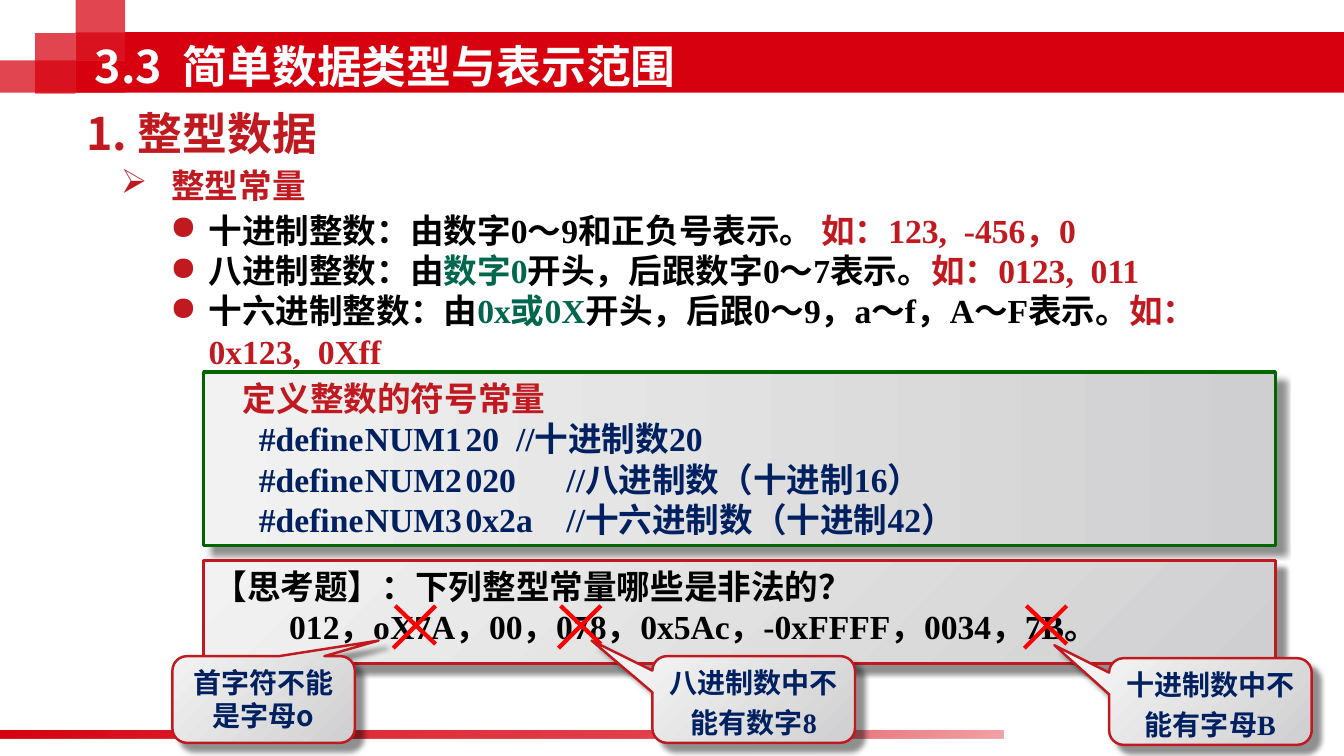
import pptx
import pptx.dml.color
import pptx.enum.shapes
import pptx.enum.text
import pptx.util
from lxml import etree
from pptx.oxml.ns import qn

Inches, Pt = pptx.util.Inches, pptx.util.Pt
Shape = pptx.enum.shapes.MSO_SHAPE
Align = pptx.enum.text.PP_ALIGN
Anchor = pptx.enum.text.MSO_ANCHOR
SANS, SERIF = "Noto Sans CJK SC", "Times New Roman"
BAND, RED, GREEN, NAVY, BLACK = "D7000F", "C01920", "00664D", "002060", "000000"


def color(value):
    return pptx.dml.color.RGBColor.from_string(value)


def write(box, lines, size, font=SERIF, align=Align.LEFT, anchor=Anchor.MIDDLE, pitch=1.2):
    """Fill a box with bold lines, each a list of (text, colour) spans."""
    frame = box.text_frame
    frame.word_wrap = True
    frame.vertical_anchor = anchor
    for number, line in enumerate(lines):
        para = frame.paragraphs[0] if number == 0 else frame.add_paragraph()
        para.alignment = align
        para.line_spacing = Pt(round(size * pitch, 1))
        for text, ink in line:
            span = para.add_run()
            span.text = text
            span.font.size = Pt(size)
            span.font.bold = True
            span.font.color.rgb = color(ink)
            span.font.name = font
            etree.SubElement(span.font._element, qn("a:ea"), typeface=SANS)


deck = pptx.Presentation()
deck.slide_width, deck.slide_height = Inches(13.33), Inches(7.5)
page = deck.slides.add_slide(deck.slide_layouts[5])

# Header band, overlapping squares and footer bar
for left, top, width, height, opacity in [
    (0, 0.6, 1.24, 0.32, 73),
    (0.35, 0.33, 0.4, 0.6, 73),
    (0.75, 0, 0.49, 0.6, 73),
    (0.75, 0.32, 0.49, 0.28, 73),
    (0.75, 0.6, 0.49, 0.32, 100),
    (1.24, 0.32, 12.09, 0.6, 100),
]:
    block = page.shapes.add_shape(
        Shape.RECTANGLE, Inches(left), Inches(top), Inches(width), Inches(height))
    block.shadow.inherit = False
    block.fill.solid()
    block.fill.fore_color.rgb = color(BAND)
    block.line.fill.background()
    tint = block.element.spPr.find(".//" + qn("a:srgbClr"))
    etree.SubElement(tint, qn("a:alpha"), val=str(opacity * 1000))

footer = page.shapes.add_shape(Shape.RECTANGLE, 0, Inches(7.25), Inches(9.95), Inches(0.08))
footer.shadow.inherit = False
footer.line.fill.background()
footer.fill.gradient()
footer.fill.gradient_angle = 320
stops = footer.element.spPr.find(".//" + qn("a:gsLst"))
for stop in list(stops):
    stops.remove(stop)
for place, opacity in [(0, 100), (31, 84), (64, 75), (100, 36)]:
    stop = etree.SubElement(stops, qn("a:gs"), pos=str(place * 1000))
    tint = etree.SubElement(stop, qn("a:srgbClr"), val=BAND)
    etree.SubElement(tint, qn("a:alpha"), val=str(opacity * 1000))

# Title, brought in front of the band
title = page.shapes.title
title.left, title.top, title.width, title.height = map(Inches, (0.84, 0.32, 8.9, 0.67))
write(title, [[("3.3  简单数据类型与表示范围", "FFFFFF")]], 32, SANS)
title.element.getparent().append(title.element)

# Outline: heading, topic and the three notations
heading = page.shapes.add_textbox(Inches(0.76), Inches(1), Inches(2.85), Inches(0.64))
write(heading, [[("1. 整型数据", RED)]], 32, SANS)
topic = page.shapes.add_textbox(Inches(1.1), Inches(1.59), Inches(4.65), Inches(0.5))
write(topic, [[("整型常量", RED)]], 24, SANS)
notations = page.shapes.add_textbox(Inches(1.59), Inches(2.02), Inches(11.2), Inches(1.72))
write(notations, [
    [("十进制整数：由数字0～9和正负号表示。 ", BLACK), ("如：123,  -456，0", RED)],
    [("八进制整数：由", BLACK), ("数字0", GREEN),
     ("开头，后跟数字0～7表示。", BLACK), ("如：0123,  011", RED)],
    [("十六进制整数：由", BLACK), ("0x或0X", GREEN),
     ("开头，后跟0～9，a～f，A～F表示。", BLACK), ("如：0x123,  0Xff", RED)],
], 24)
for box, mark, hang in [(topic, "➢", 0.5), (notations, "●", 0.38)]:
    for para in box.text_frame.paragraphs:
        layout = para._p.get_or_add_pPr()
        layout.set("marL", str(Inches(hang)))
        layout.set("indent", str(-Inches(hang)))
        tint = etree.SubElement(layout, qn("a:buClr"))
        etree.SubElement(tint, qn("a:srgbClr"), val=RED)
        etree.SubElement(layout, qn("a:buChar"), char=mark)

# Shaded panels and callouts share gradient, outline and shadow
panels = []
for left, top, width, height, edge, weight, angle, pointer in [
    (2.02, 3.69, 10.63, 1.72, "006600", 2.25, 180, None),
    (2.02, 5.56, 10.63, 1.02, RED, 2.25, 135, None),
    (1.71, 6.51, 1.81, 0.86, RED, 1.75, 135, (0.63, -0.68)),
    (6.47, 6.51, 2.01, 0.86, RED, 1.75, 135, (-0.8, -0.68)),
    (11, 6.53, 2.01, 0.86, RED, 1.75, 135, (-0.77, -0.65)),
]:
    if pointer:
        # The crosses lie above the question panel and below the callouts
        kind = Shape.ROUNDED_RECTANGULAR_CALLOUT
    else:
        kind = Shape.RECTANGLE
    panel = page.shapes.add_shape(
        kind, Inches(left), Inches(top), Inches(width), Inches(height))
    if pointer:
        panel.adjustments[0], panel.adjustments[1] = pointer
    panel.fill.gradient()
    panel.fill.gradient_angle = angle
    for stop, shade in zip(panel.fill.gradient_stops, ("CFCFD1", "F2F2F2")):
        stop.color.rgb = color(shade)
    panel.line.color.rgb = color(edge)
    panel.line.width = Pt(weight)
    panel.shadow.inherit = False
    effects = panel.element.spPr.find(qn("a:effectLst"))
    shadow = etree.SubElement(
        effects, qn("a:outerShdw"), blurRad=str(Pt(4)), dist=str(Pt(8.4)),
        dir=str(45 * 60000), algn="tl", rotWithShape="0")
    tint = etree.SubElement(shadow, qn("a:srgbClr"), val=BLACK)
    etree.SubElement(tint, qn("a:alpha"), val="43000")
    panels.append(panel)
constants, question, *callouts = panels

write(constants, [
    [("定义整数的符号常量", RED)],
    [("#define\tNUM1\t20\t//十进制数20", NAVY)],
    [("#define\tNUM2\t020\t//八进制数（十进制16）", NAVY)],
    [("#define\tNUM3\t0x2a\t//十六进制数（十进制42）", NAVY)],
], 24)
for number, para in enumerate(constants.text_frame.paragraphs):
    layout = para._p.get_or_add_pPr()
    layout.set("indent", str(Inches(0.45 if number else 0.29)))
    tabs = etree.SubElement(layout, qn("a:tabLst"))
    for column in (1.82, 3.28, 4.37):
        etree.SubElement(tabs, qn("a:tab"), pos=str(Inches(column)), algn="l")

write(question, [
    [("【思考题】：下列整型常量哪些是非法的？", BLACK)],
    [("012，oX7A，00，078，0x5Ac，-0xFFFF，0034，7B。", BLACK)],
], 24, anchor=Anchor.TOP)
question.text_frame.paragraphs[1]._p.get_or_add_pPr().set("indent", str(Inches(0.75)))

for callout, reason, font, pitch, inset in zip(
        callouts,
        ("首字符不能是字母o", "八进制数中不能有数字8", "十进制数中不能有字母B"),
        (SANS, SERIF, SERIF), (1.2, 1.4, 1.4), (0.05, 0, 0)):
    write(callout, [[(reason, NAVY)]], 20, font, Align.CENTER, Anchor.TOP, pitch)
    callout.text_frame.margin_top = Inches(inset)

# Crosses over the invalid constants
for left in (3.9, 5.54, 10.16):
    for start, end, bottom in [(0.42, 0, 6.43), (0.02, 0.42, 6.39)]:
        stroke = page.shapes.add_connector(
            pptx.enum.shapes.MSO_CONNECTOR.STRAIGHT,
            Inches(left + start), Inches(6.01), Inches(left + end), Inches(bottom))
        stroke.line.color.rgb = color("FF0000")
        stroke.line.width = Pt(3)
        etree.SubElement(stroke.element.spPr, qn("a:effectLst"))
for callout in callouts:
    callout.element.getparent().append(callout.element)

deck.save("out.pptx")
